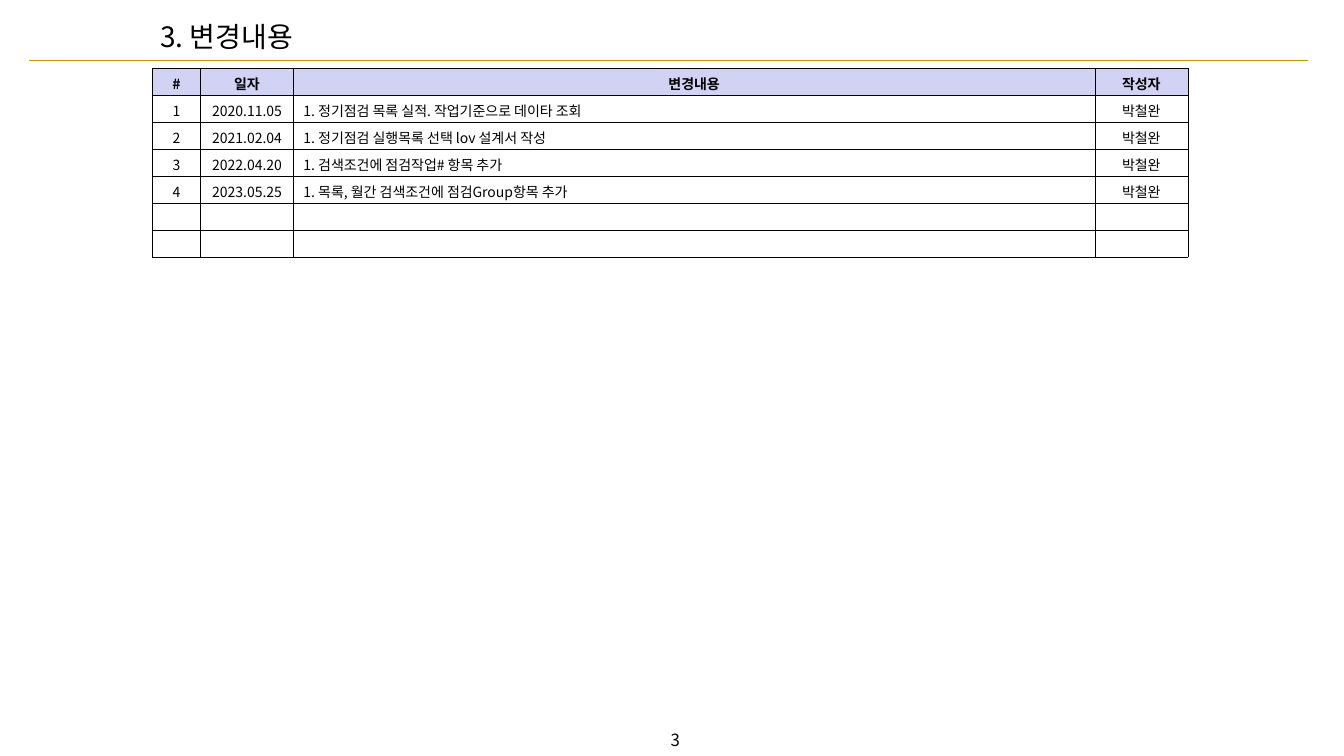
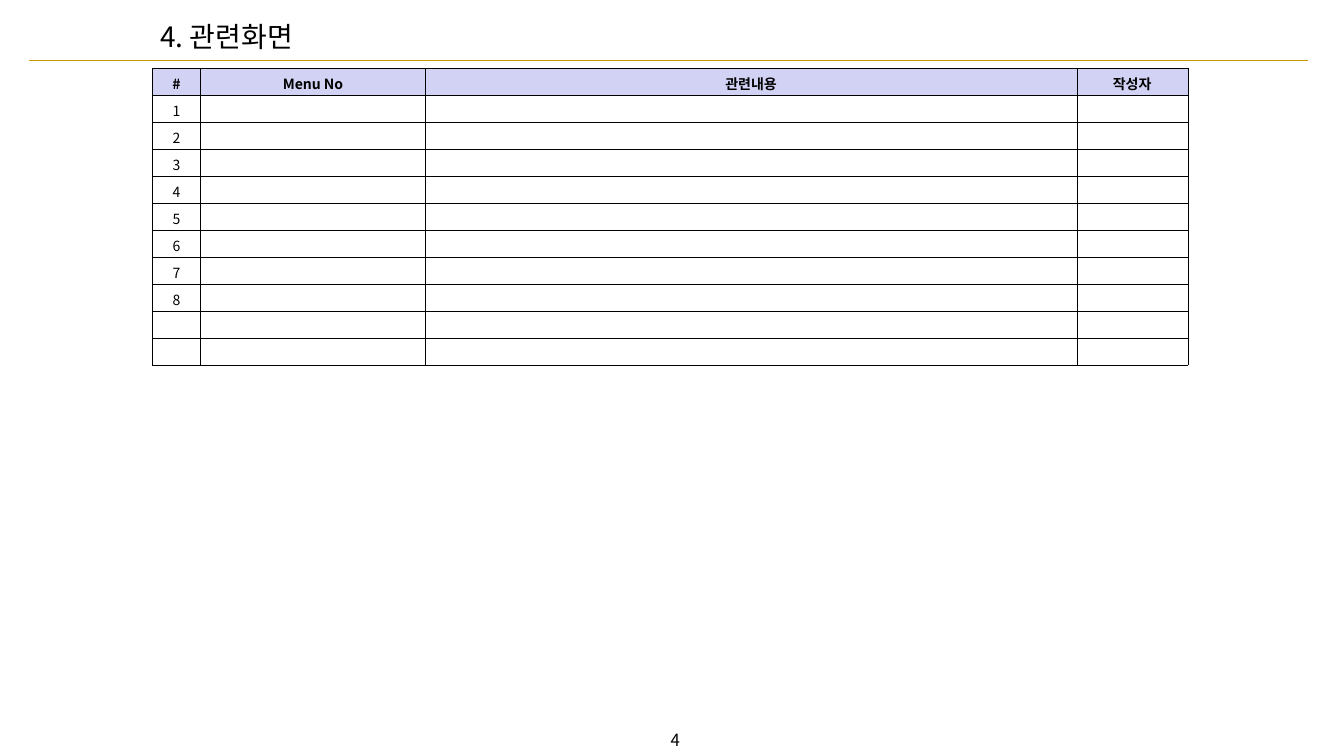
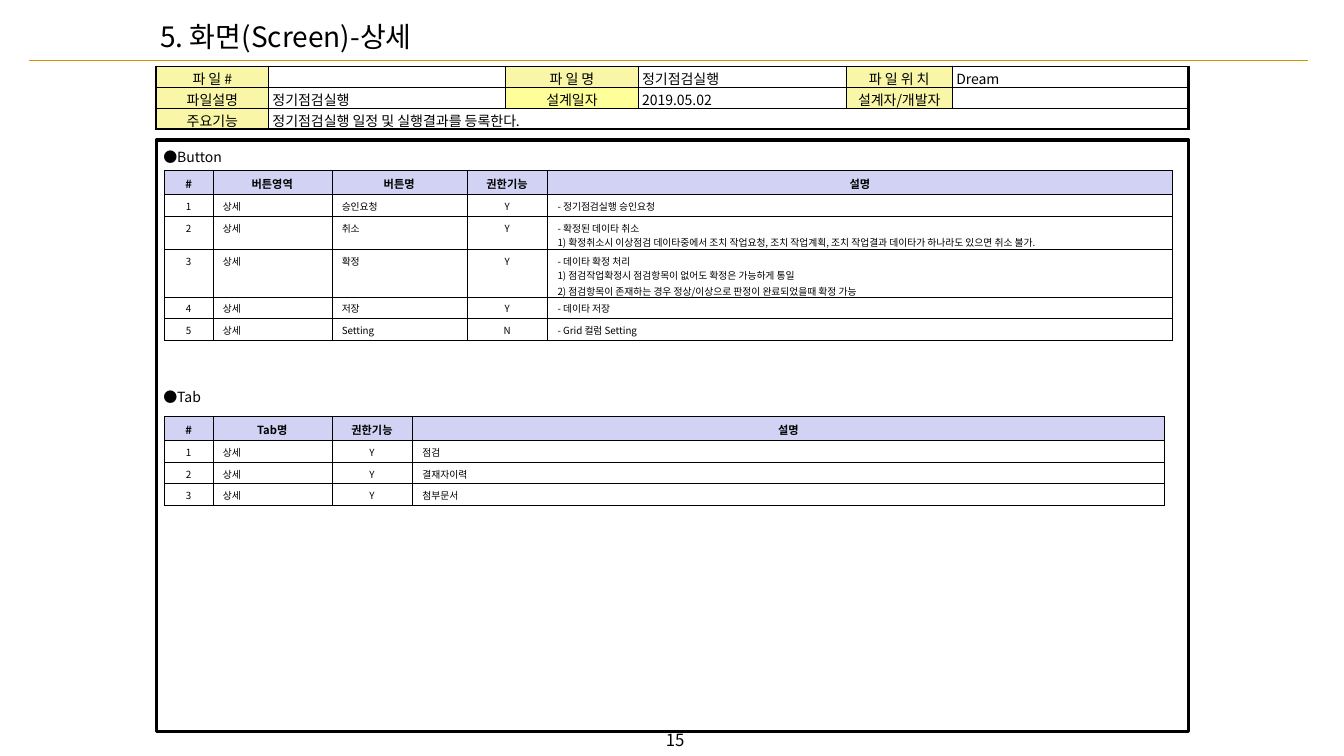
from dataclasses import dataclass

from lxml.etree import SubElement
from pptx import Presentation
from pptx.dml.color import RGBColor
from pptx.enum.shapes import MSO_CONNECTOR, MSO_SHAPE
from pptx.enum.text import MSO_ANCHOR, PP_ALIGN
from pptx.oxml.ns import qn
from pptx.util import Inches, Pt

SLIDE_W, SLIDE_H = Inches(13.33), Inches(7.5)


@dataclass(frozen=True)
class Theme:
    font: str = "Noto Sans CJK KR"
    ink: str = "000000"
    rule: str = "CC9900"
    head: str = "D2D2F4"
    label: str = "F9F7A7"
    label_strong: str = "FFFF99"
    paper: str = "FFFFFF"
    title: int = 20
    page: int = 12
    body: int = 10
    small_head: int = 8
    small: int = 7
    line_height: float = 1.2
    hairline: float = 0.25
    thin: float = 1
    medium: float = 1.5
    thick: float = 2.25


T = Theme()
ALIGN = {"l": PP_ALIGN.LEFT, "c": PP_ALIGN.CENTER}
CELL_INSETS = (0.1, 0.05)
INFO_INSETS = (0.04, 0.02)


# Positions are percentages of the slide's width and height
def across(share):
    return int(SLIDE_W * share / 100)


def down(share):
    return int(SLIDE_H * share / 100)


def box(x, y, w, h):
    return across(x), down(y), across(w), down(h)


def rgb(colour):
    return RGBColor.from_string(colour)


# Text
def write(tf, text, size, align="l", bold=False):
    """Newlines start paragraphs, vertical tabs break lines."""
    for i, line in enumerate(text.split("\n")):
        p = tf.add_paragraph() if i else tf.paragraphs[0]
        p.text = line
        p.alignment = ALIGN[align]
        if i:
            p.space_before = Pt(size * 0.2)
        f = p.font
        f.name, f.size, f.bold = T.font, Pt(size), bold
        f.color.rgb = rgb(T.ink)
        SubElement(f._rPr, qn("a:ea")).set("typeface", T.font)
        for br in p._p.findall(qn("a:br")):
            SubElement(br, qn("a:rPr")).set("sz", str(size * 100))
        if not line:
            p._p.get_or_add_endParaRPr().set("sz", str(size * 100))


def add_text(s, place, text, size, insets, align="l", anchor=MSO_ANCHOR.TOP):
    tf = s.shapes.add_textbox(*box(*place)).text_frame
    tf.word_wrap = True
    tf.vertical_anchor = anchor
    tf.margin_left, tf.margin_top, tf.margin_right, tf.margin_bottom = map(Inches, insets)
    write(tf, text, size, align)
    return tf


def add_label(s, y, text):
    tf = add_text(s, (12.15, y, 14.25, 3.07), text, T.body, (0, 0.05, 0.02, 0.05))
    tf.paragraphs[0].line_spacing = 0.9


# Tables
def set_borders(cell, left, right, top, bottom):
    tcPr = cell._tc.get_or_add_tcPr()
    for side, width in zip("LRTB", (left, right, top, bottom)):
        ln = SubElement(tcPr, qn(f"a:ln{side}"), w=str(Pt(width)))
        fill = SubElement(ln, qn("a:solidFill"))
        SubElement(fill, qn("a:srgbClr"), val=T.ink)


def style_cell(cell, text, size, align, insets, borders, fill=None, bold=False):
    cell.margin_left = cell.margin_right = Inches(insets[0])
    cell.margin_top = cell.margin_bottom = Inches(insets[1])
    set_borders(cell, *borders)
    if fill:
        cell.fill.solid()
        cell.fill.fore_color.rgb = rgb(fill)
    else:
        cell.fill.background()
    write(cell.text_frame, text, size, align, bold)


def row_height(row, size, insets):
    lines = max(1 + t.count("\n") + t.count("\v") for t in row)
    gaps = max(t.count("\n") for t in row) * 0.2
    return Inches((lines * T.line_height + gaps) * size / 72 + 2 * insets[1])


def new_table(s, x, y, w, shares, heights):
    """Column widths are percentages of the table's width."""
    frame = s.shapes.add_table(len(heights), len(shares), across(x), down(y),
                               across(w), sum(heights))
    table = frame.table
    table.first_row = table.horz_banding = False
    for column, share in zip(table.columns, shares):
        column.width = int(across(w) * share / 100)
    for row, height in zip(table.rows, heights):
        row.height = height
    return table


def add_list_table(s, place, shares, aligns, rows, head_size=T.body, size=T.body):
    sizes = [head_size] + [size] * (len(rows) - 1)
    heights = [row_height(row, z, CELL_INSETS) for row, z in zip(rows, sizes)]
    table = new_table(s, *place, shares, heights)
    for i, row in enumerate(rows):
        for j, text in enumerate(row):
            is_head = i == 0
            style_cell(table.cell(i, j), text, sizes[i], "c" if is_head else aligns[j],
                       CELL_INSETS, [T.hairline] * 4, T.head if is_head else None, is_head)


def add_info_table(s, place, shares, rows):
    """Label and value pairs inside a heavier outline; the last value spans the row."""
    table = new_table(s, *place, shares,
                      [row_height(row, T.body, INFO_INSETS) for row in rows])
    last_row, last_col = len(rows) - 1, len(shares) - 1
    table.cell(last_row, 1).merge(table.cell(last_row, last_col))
    for i, row in enumerate(rows):
        for j, text in enumerate(row):
            is_label = j % 2 == 0 and bool(text)
            fill = T.label if is_label else T.paper
            if (i, j) == (1, 2):
                fill = T.label_strong
            borders = (T.thin if j else T.medium,
                       T.thick if j == last_col or i == last_row and j else T.thin,
                       T.thin if i else T.medium,
                       T.thick if i == last_row else T.thin)
            cell = table.cell(i, j)
            style_cell(cell, text, T.body, "c" if is_label else "l",
                       INFO_INSETS, borders, fill)
            cell.vertical_anchor = MSO_ANCHOR.MIDDLE


# Shared slide parts
def add_slide(prs, title, page, title_width=77.04):
    s = prs.slides.add_slide(prs.slide_layouts[6])
    rule = s.shapes.add_connector(MSO_CONNECTOR.STRAIGHT, across(2.18), down(8),
                                  across(97.3), down(8))
    rule.line.color.rgb = rgb(T.rule)
    rule.line.width = Pt(T.thin)
    SubElement(rule._element.spPr, qn("a:effectLst"))
    add_text(s, (40, 95.87, 20.48, 4), page, T.page, (0.1, 0.05, 0.1, 0.05),
             "c", MSO_ANCHOR.MIDDLE)
    add_text(s, (11.33, 1.47, title_width, 6.67), title, T.title, [0.08] * 4)
    return s


def add_frame(s, place):
    sp = s.shapes.add_shape(MSO_SHAPE.RECTANGLE, *box(*place))
    sp.shadow.inherit = False
    sp.fill.background()
    sp.line.color.rgb = rgb(T.ink)
    sp.line.width = Pt(T.thick)


# Slides
def add_changes(prs):
    s = add_slide(prs, "3. 변경내용", "3")
    changes = [
        ("2020.11.05", "1. 정기점검 목록 실적. 작업기준으로 데이타 조회"),
        ("2021.02.04", "1. 정기점검 실행목록 선택 lov 설계서 작성"),
        ("2022.04.20", "1. 검색조건에 점검작업# 항목 추가"),
        ("2023.05.25", "1. 목록, 월간 검색조건에 점검Group항목 추가"),
    ]
    rows = [("#", "일자", "변경내용", "작성자")]
    rows += [(str(n), day, note, "박철완") for n, (day, note) in enumerate(changes, 1)]
    rows += [("",) * 4] * 2
    add_list_table(s, (11.33, 9.07, 77.04), (4.67, 8.96, 77.41, 8.96), "cclc", rows)


def add_related(prs):
    s = add_slide(prs, "4. 관련화면", "4")
    rows = [("#", "Menu No", "관련내용", "작성자")]
    rows += [(str(n), "", "", "") for n in range(1, 9)]
    rows += [("",) * 4] * 2
    add_list_table(s, (11.33, 9.07, 77.04), (4.67, 21.71, 62.9, 10.72), "cclc", rows)


def add_screen(prs):
    s = add_slide(prs, "5. 화면(Screen)-상세", "15", 54.16)
    add_frame(s, (11.63, 18.53, 76.82, 78.27))
    add_info_table(s, (11.63, 8.8, 76.82), (10.86, 22.99, 12.82, 20.16, 10.27, 22.9), [
        ("파 일 #", "", "파 일 명", "정기점검실행", "파 일 위 치", "Dream"),
        ("파일설명", "정기점검실행", "설계일자", "2019.05.02", "설계자/개발자", ""),
        ("주요기능", "정기점검실행 일정 및 실행결과를 등록한다.", "", "", "", ""),
    ])

    add_label(s, 19.2, "●Button")
    buttons = [
        ("승인요청", "Y", "- 정기점검실행 승인요청"),
        ("취소", "Y", "- 확정된 데이타 취소\v1) 확정취소시 이상점검 데이타중에서 조치 작업요청, "
                     "조치 작업계획, 조치 작업결과 데이타가 하나라도 있으면 취소 불가."),
        ("확정", "Y", "- 데이타 확정 처리\v1) 점검작업확정시 점검항목이 없어도 확정은 가능하게 통일\n"
                     "2) 점검항목이 존재하는 경우 정상/이상으로 판정이 완료되었을때 확정 가능"),
        ("저장", "Y", "- 데이타 저장"),
        ("Setting", "N", "- Grid 컬럼 Setting"),
    ]
    rows = [("#", "버튼영역", "버튼명", "권한기능", "설명")]
    rows += [(str(n), "상세", *button) for n, button in enumerate(buttons, 1)]
    add_list_table(s, (12.23, 22.53, 75.02), (4.8, 11.8, 13.4, 8, 62), "cllcl", rows,
                   T.small_head, T.small)

    add_label(s, 50.93, "●Tab")
    rows = [("#", "Tab명", "권한기능", "설명")]
    rows += [(str(n), "상세", "Y", tab)
             for n, tab in enumerate(("점검", "결재자이력", "첨부문서"), 1)]
    add_list_table(s, (12.23, 55.07, 74.42), (4.84, 11.9, 8.06, 75.2), "clcl", rows,
                   T.small_head, T.small)


def main():
    prs = Presentation()
    prs.slide_width, prs.slide_height = SLIDE_W, SLIDE_H
    add_changes(prs)
    add_related(prs)
    add_screen(prs)
    prs.save("out.pptx")


if __name__ == "__main__":
    main()
